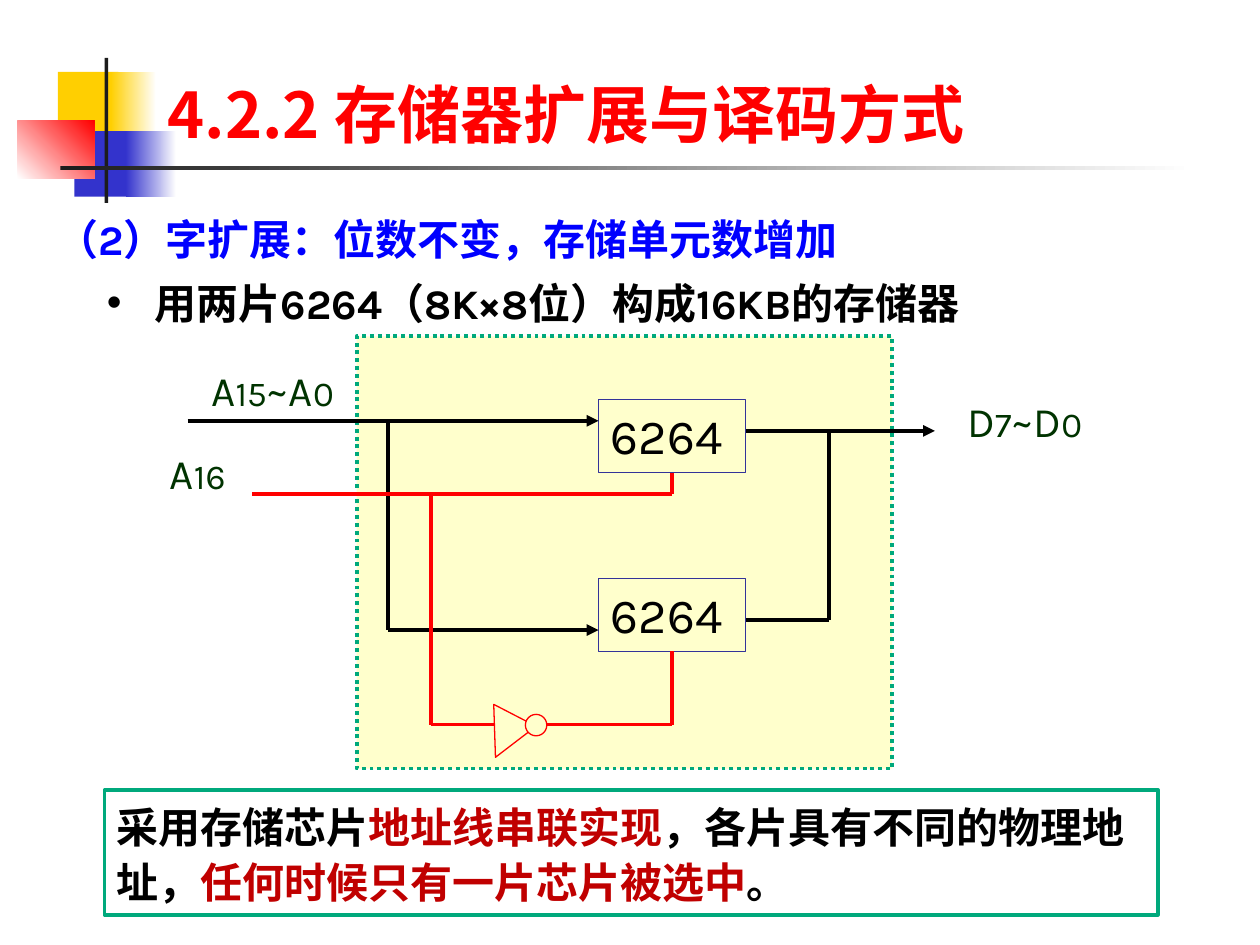
from dataclasses import dataclass

from lxml import etree
from pptx import Presentation
from pptx.dml.color import RGBColor
from pptx.enum import dml, shapes, text
from pptx.oxml.ns import qn
from pptx.util import Inches, Pt


@dataclass(frozen=True)
class Theme:
    font: str = "Karla"
    title_font: str = "Noto Sans CJK JP"
    title_size: int = 36
    chip_size: int = 28
    body_size: int = 24
    digit_size: int = 20
    black: str = "000000"
    white: str = "FFFFFF"
    red: str = "FF0000"
    blue: str = "0000FF"
    emphasis: str = "C00000"
    signal: str = "003300"
    green: str = "00A97C"
    cream: str = "FFFFCC"
    chip_line: str = "333399"
    gold: str = "FFCF01"
    indigo: str = "3333CC"
    charcoal: str = "1C1C1C"


THEME = Theme()
SHAPE = shapes.MSO_SHAPE


def add_block(slide, box, fill=None, line=None, width=0.75, kind=SHAPE.RECTANGLE):
    """Add a preset shape; a pair of fill colours makes a gradient."""
    shape = slide.shapes.add_shape(kind, *map(Inches, box))
    shape.shadow.inherit = False
    if isinstance(fill, tuple):
        shape.fill.gradient()
        shape.fill.gradient_angle = 0
        for stop, color in zip(shape.fill.gradient_stops, fill):
            stop.color.rgb = RGBColor.from_string(color)
    elif fill:
        shape.fill.solid()
        shape.fill.fore_color.rgb = RGBColor.from_string(fill)
    else:
        shape.fill.background()
    if line:
        shape.line.color.rgb = RGBColor.from_string(line)
        shape.line.width = Pt(width)
    else:
        shape.line.fill.background()
    return shape


def add_wire(slide, start, end, color=THEME.black, arrow=False):
    wire = slide.shapes.add_connector(
        shapes.MSO_CONNECTOR.STRAIGHT, *map(Inches, start + end))
    wire.line.color.rgb = RGBColor.from_string(color)
    wire.line.width = Pt(2.25)
    properties = wire._element.spPr
    if arrow:
        etree.SubElement(properties.find(qn("a:ln")), qn("a:tailEnd"), type="triangle")
    etree.SubElement(properties, qn("a:effectLst"))


def write(shape, runs, size, color, bold=False, wrap=True, font=THEME.font):
    """Fill one paragraph with (text, colour, size) runs; None keeps the default."""
    frame = shape.text_frame
    frame.word_wrap = wrap
    frame.auto_size = text.MSO_AUTO_SIZE.NONE
    frame.vertical_anchor = text.MSO_ANCHOR.TOP
    paragraph = frame.paragraphs[0]
    paragraph.alignment = text.PP_ALIGN.LEFT
    paragraph.font.name = font
    paragraph.font.size = Pt(size)
    paragraph.font.bold = bold
    paragraph.font.color.rgb = RGBColor.from_string(color)
    for words, run_color, run_size in runs:
        run = paragraph.add_run()
        run.text = words
        if run_color:
            run.font.color.rgb = RGBColor.from_string(run_color)
        if run_size:
            run.font.size = Pt(run_size)
    return paragraph


def add_ornament(slide, left, top):
    """Coloured squares and rules behind the title."""
    parts = [
        (0.32, 0.11, 0.48, 0.52, THEME.gold),
        (0.74, 0.11, 0.36, 0.52, (THEME.gold, THEME.white)),
        (0.45, 0.58, 0.46, 0.52, THEME.indigo),
        (0.86, 0.58, 0.40, 0.52, (THEME.indigo, THEME.white)),
        (0.00, 0.50, 0.61, 0.46, (THEME.white, THEME.red)),
        (0.69, 0.00, 0.03, 1.15, THEME.charcoal),
        (0.34, 0.86, 9.00, 0.03, (THEME.charcoal, THEME.white)),
    ]
    for x, y, width, height, fill in parts:
        block = add_block(slide, (left + x, top + y, width, height), fill)
        if fill == (THEME.white, THEME.red):
            block.fill.gradient_angle = 45


def add_title(slide, box):
    title = slide.shapes.title
    title.left, title.top, title.width, title.height = map(Inches, box)
    write(title, [("4.2.2 存储器扩展与译码方式", None, None)], THEME.title_size,
          THEME.red, bold=True, font=THEME.title_font)
    # Bring the title in front of the ornament
    slide.shapes._spTree.append(title._element)


def add_heading(slide, box):
    heading = slide.shapes.add_textbox(*map(Inches, box))
    write(heading, [("（2）字扩展：位数不变，存储单元数增加", None, None)],
          THEME.body_size, THEME.blue, bold=True)
    heading.text_frame.vertical_anchor = text.MSO_ANCHOR.BOTTOM


def add_bullet(slide, box):
    bullet = slide.shapes.add_textbox(*map(Inches, box))
    properties = bullet.text_frame.paragraphs[0]._p.get_or_add_pPr()
    properties.set("marL", str(Inches(0.38)))
    properties.set("indent", str(-Inches(0.38)))
    etree.SubElement(properties, qn("a:buFont"), typeface="Arial")
    etree.SubElement(properties, qn("a:buChar"), char="•")
    write(bullet, [("用两片6264（8K×8位）构成16KB的存储器", None, None)],
          THEME.body_size, THEME.black, bold=True)


def add_signal(slide, box, *names):
    """Label a bus, with smaller digits after each letter."""
    label = slide.shapes.add_textbox(*map(Inches, box))
    runs = []
    for letter, digits in names:
        runs += [(letter, None, None), (digits, None, THEME.digit_size)]
    write(label, runs, THEME.body_size, THEME.signal, wrap=False)


def add_circuit(slide, box):
    left, top, width, height = box
    frame = add_block(slide, box, THEME.cream, THEME.green, 2.25)
    frame.line.dash_style = dml.MSO_LINE.ROUND_DOT

    def at(x, y):
        return left + x, top + y

    # Chips
    chip_x, chip_width, chip_height = 1.92, 1.17, 0.58
    chip_tops = (0.5, 1.92)
    chip_right = chip_x + chip_width
    for chip_top in chip_tops:
        chip = add_block(slide, (*at(chip_x, chip_top), chip_width, chip_height),
                         line=THEME.chip_line)
        write(chip, [("6264", None, None)], THEME.chip_size, THEME.black)

    # Address and data buses: start, end, arrow
    address_x, address_y, lower_y = 0.25, 0.67, 2.33
    data_x, data_y, data_low = 3.75, 0.75, 2.25
    buses = [
        ((-1.34, address_y), (chip_x, address_y), True),
        ((address_x, address_y), (address_x, lower_y), False),
        ((address_x, lower_y), (chip_x, lower_y), True),
        ((chip_right, data_y), (4.59, data_y), True),
        ((data_x, data_y), (data_x, data_low), False),
        ((chip_right, data_low), (data_x, data_low), False),
    ]
    for start, end, arrow in buses:
        add_wire(slide, at(*start), at(*end), arrow=arrow)

    # Chip select, inverted for the lower chip
    select_x, branch_x, select_y, inverter_y = 2.5, 0.59, 1.25, 3.08
    for start, end in [
        ((-0.83, select_y), (select_x, select_y)),
        ((select_x, chip_tops[0] + chip_height), (select_x, select_y)),
        ((branch_x, select_y), (branch_x, inverter_y)),
        ((branch_x, inverter_y), (1.09, inverter_y)),
        ((1.5, inverter_y), (select_x, inverter_y)),
        ((select_x, chip_tops[1] + chip_height), (select_x, inverter_y)),
    ]:
        add_wire(slide, at(*start), at(*end), THEME.red)
    gate = add_block(slide, (*at(1.05, 2.96), 0.42, 0.33), THEME.cream, THEME.red,
                     kind=SHAPE.ISOSCELES_TRIANGLE)
    gate.rotation = 88.1
    gate.adjustments[0] = 0.44
    add_block(slide, (*at(1.34, 3.0), 0.17, 0.17), THEME.cream, THEME.red,
              kind=SHAPE.OVAL)

    # Signal names
    add_signal(slide, (*at(-1.25, 0.17), 1.3, 0.5), ("A", "15"), ("~A", "0"))
    add_signal(slide, (*at(-1.58, 0.83), 0.7, 0.5), ("A", "16"))
    add_signal(slide, (*at(4.75, 0.42), 1.14, 0.5), ("D", "7"), ("~D", "0"))


def add_conclusion(slide, box):
    panel = add_block(slide, box, line=THEME.green, width=2.25)
    paragraph = write(panel, [
        ("采用存储芯片", None, None),
        ("地址线串联实现", THEME.emphasis, None),
        ("，各片具有不同的物理地址，", None, None),
        ("任何时候只有一片芯片被选中", THEME.emphasis, None),
        ("。", None, None),
    ], THEME.body_size, THEME.black, bold=True)
    paragraph.line_spacing = 1.1


def main():
    presentation = Presentation()
    presentation.slide_width, presentation.slide_height = Inches(10), Inches(7.5)
    slide = presentation.slides.add_slide(presentation.slide_layouts[5])
    add_ornament(slide, 0.14, 0.46)
    add_title(slide, (1.23, 0.55, 7.5, 0.79))
    add_heading(slide, (0.35, 1.64, 8.23, 0.5))
    add_circuit(slide, (2.83, 2.67, 4.25, 3.43))
    add_bullet(slide, (0.75, 2.15, 8.33, 0.5))
    add_conclusion(slide, (0.83, 6.27, 8.36, 0.99))
    presentation.save("out.pptx")


if __name__ == "__main__":
    main()
